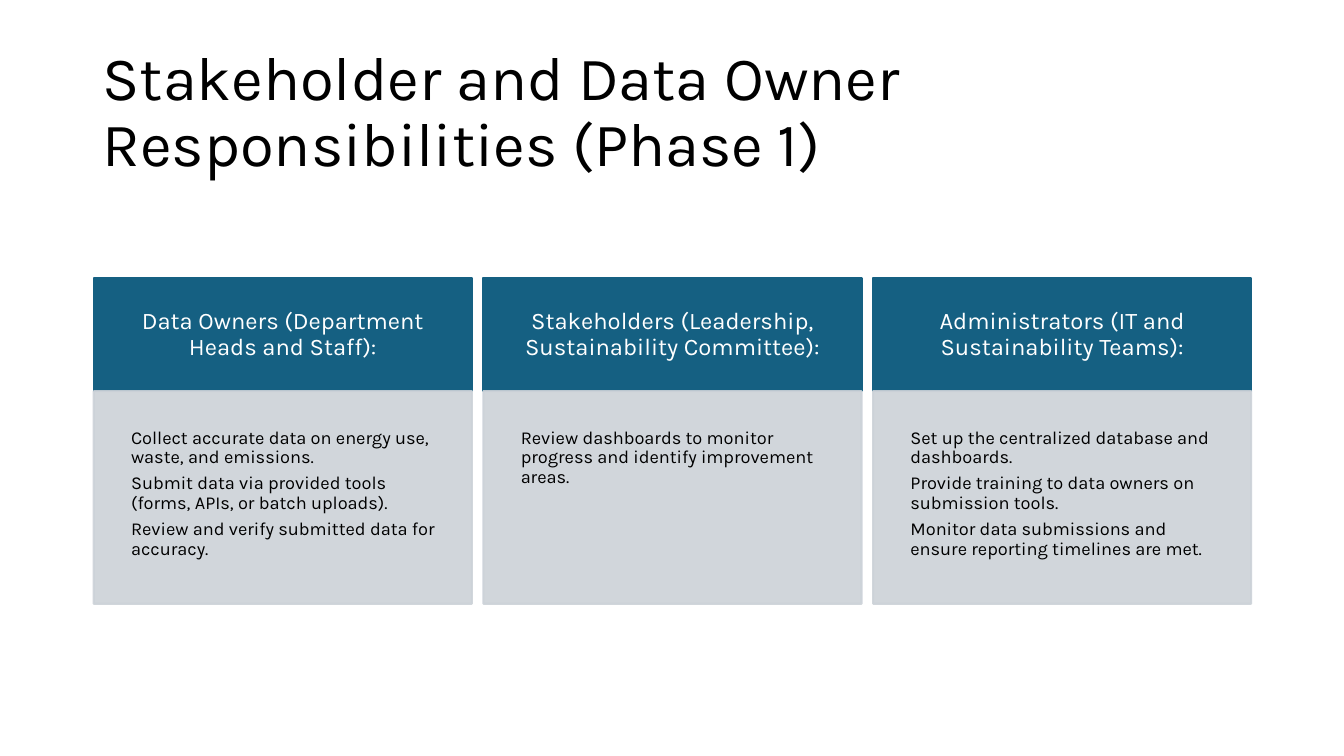
from lxml import etree
from pptx import Presentation, util as u
from pptx.dml.color import RGBColor
from pptx.enum import shapes, text
from pptx.oxml.ns import qn

TITLE = "Stakeholder and Data Owner Responsibilities (Phase 1)"
ROLES = [
    ("Data Owners (Department Heads and Staff):", [
        "Collect accurate data on energy use, waste, and emissions.",
        "Submit data via provided tools (forms, APIs, or batch uploads).",
        "Review and verify submitted data for accuracy.",
    ]),
    ("Stakeholders (Leadership, Sustainability Committee):", [
        "Review dashboards to monitor progress and identify improvement areas.",
    ]),
    ("Administrators (IT and Sustainability Teams):", [
        "Set up the centralized database and dashboards.",
        "Provide training to data owners on submission tools.",
        "Monitor data submissions and ensure reporting timelines are met.",
    ]),
]
COLORS = {"header": "156082", "body": "CCD2D8", "light": "FFFFFF", "dark": "000000"}
FONT = "Karla"
PAGE_WIDTH, PAGE_HEIGHT = 13.33, 7.5
GRID_LEFT, GRID_TOP, GRID_WIDTH = 0.93, 2.76, 11.48
COLUMN_WIDTH, HEADER_HEIGHT, BODY_HEIGHT = 3.75, 1.12, 2.11
COLUMN_GAP = (GRID_WIDTH - len(ROLES) * COLUMN_WIDTH) / (len(ROLES) - 1)
SPACE_SHARE = 0.35


def color(name):
    return RGBColor.from_string(COLORS[name])


def write(box, lines, size, ink, anchor, align, inset, space_after):
    frame = box.text_frame
    frame.word_wrap = True
    frame.vertical_anchor = anchor
    frame.margin_left = frame.margin_right = u.Inches(inset[0])
    frame.margin_top = frame.margin_bottom = u.Inches(inset[1])
    for index, line in enumerate(lines):
        para = frame.add_paragraph() if index else frame.paragraphs[0]
        para.alignment = align
        para.line_spacing = 0.9
        para.space_before = u.Pt(0)
        para.space_after = u.Pt(space_after)
        span = para.add_run()
        span.text = line
        span.font.name = FONT
        span.font.size = u.Pt(size)
        span.font.color.rgb = color(ink)


def add_panel(page, left, top, height, shade, opacity):
    box = page.shapes.add_shape(
        shapes.MSO_SHAPE.RECTANGLE,
        *map(u.Inches, (left, top, COLUMN_WIDTH, height)))
    box.shadow.inherit = False
    box.fill.solid()
    box.line.width = u.Pt(1.5)
    for paint in (box.fill.fore_color, box.line.color):
        paint.rgb = color(shade)
    if opacity < 100:
        for value in box.element.spPr.iter(qn("a:srgbClr")):
            etree.SubElement(value, qn("a:alpha"), val=str(opacity * 1000))
    return box


def main():
    deck = Presentation()
    deck.slide_width = u.Inches(PAGE_WIDTH)
    deck.slide_height = u.Inches(PAGE_HEIGHT)
    page = deck.slides.add_slide(deck.slide_layouts[6])

    title = page.shapes.add_textbox(*map(u.Inches, (0.92, 0.4, 11.5, 1.45)))
    middle, top = text.MSO_ANCHOR.MIDDLE, text.MSO_ANCHOR.TOP
    left_align, center = text.PP_ALIGN.LEFT, text.PP_ALIGN.CENTER
    write(title, [TITLE], 44, "dark", middle, left_align, (0.1, 0.05), 0)

    for column, (role, duties) in enumerate(ROLES):
        left = GRID_LEFT + column * (COLUMN_WIDTH + COLUMN_GAP)
        header = add_panel(page, left, GRID_TOP, HEADER_HEIGHT, "header", 100)
        write(header, [role], 17, "light", middle, center, (0.3, 0.3), 17 * SPACE_SHARE)
        body = add_panel(page, left, GRID_TOP + HEADER_HEIGHT, BODY_HEIGHT, "body", 90)
        write(body, duties, 13, "dark", top, left_align, (0.37, 0.37), 13 * SPACE_SHARE)

    deck.save("out.pptx")


if __name__ == "__main__":
    main()
